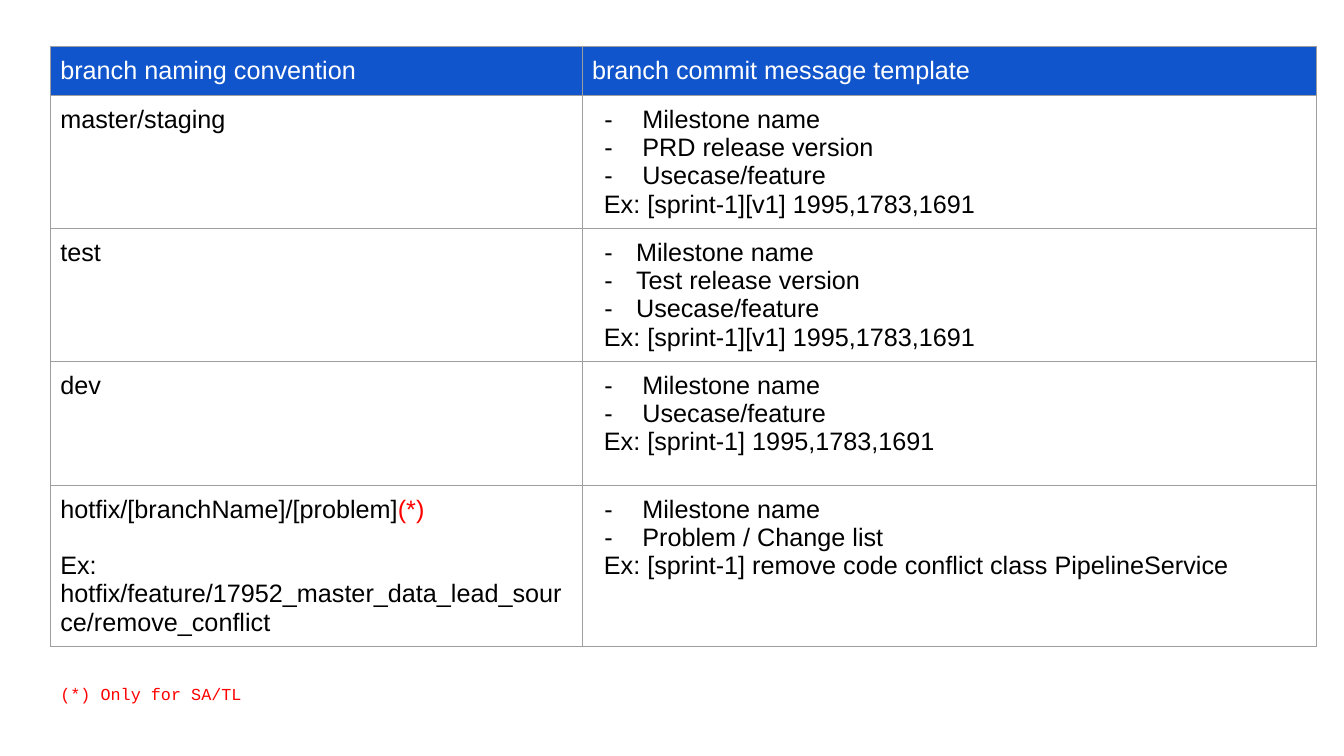
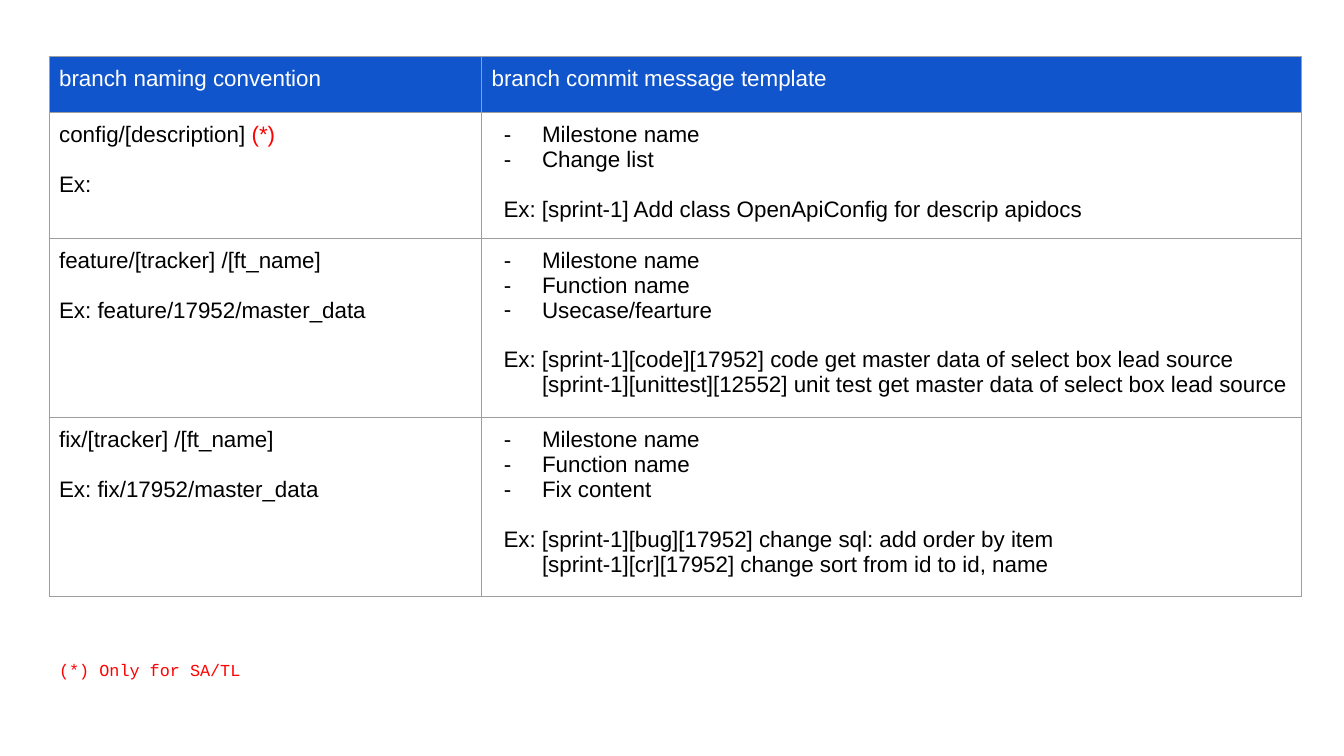
from dataclasses import dataclass

from pptx import Presentation
from pptx.dml.color import RGBColor as RGB
from pptx.enum.text import MSO_AUTO_SIZE as AutoSize
from pptx.oxml import parse_xml
from pptx.oxml.ns import nsdecls
from pptx.util import Cm, Pt


@dataclass(frozen=True)
class Theme:
    header: RGB = RGB(0x11, 0x55, 0xCC)
    header_text: RGB = RGB(0xFF, 0xFF, 0xFF)
    text: RGB = RGB(0, 0, 0)
    accent: RGB = RGB(0xFF, 0, 0)
    border: RGB = RGB(0x9E, 0x9E, 0x9E)
    border_width: float = 0.75
    body_font: str = "Arial"
    note_font: str = "Courier New"
    note_size: int = 12
    line_height: float = 1.12
    inset: float = 0.25


@dataclass(frozen=True)
class Line:
    text: str
    left: float = 0
    hang: float = 0
    gap: bool = False


THEME = Theme()
MARK = "(*)"
HEADERS = ("branch naming convention", "branch commit message template")
NOTE = "(*) Only for SA/TL"


def bullets(*texts, left=1.27, hang=0.96):
    return [Line(text, left, hang) for text in texts]


def example(text, gap=False):
    return Line(text, 0.3, gap=gap)


def continued(text):
    return Line(text, 1.27)


def named(name, sample=None):
    return [Line(name)] + ([Line(sample, gap=True)] if sample else [])


MAIN_ROWS = [
    (named("master/staging"),
     bullets("Milestone name", "PRD release version", "Usecase/feature")
     + [example("Ex: [sprint-1][v1] 1995,1783,1691")]),
    (named("test"),
     bullets("Milestone name", "Test release version", "Usecase/feature",
             left=1.11, hang=0.8)
     + [example("Ex: [sprint-1][v1] 1995,1783,1691")]),
    (named("dev"),
     bullets("Milestone name", "Usecase/feature")
     + [example("Ex: [sprint-1] 1995,1783,1691")]),
    (named("hotfix/[branchName]/[problem](*)",
           "Ex: hotfix/feature/17952_master_data_lead_source/remove_conflict"),
     bullets("Milestone name", "Problem / Change list")
     + [example("Ex: [sprint-1] remove code conflict class PipelineService")]),
]

WORK_ROWS = [
    (named("config/[description] (*)", "Ex:"),
     bullets("Milestone name", "Change list")
     + [example("Ex: [sprint-1] Add class OpenApiConfig for descrip apidocs", True)]),
    (named("feature/[tracker] /[ft_name]", "Ex: feature/17952/master_data"),
     bullets("Milestone name", "Function name", "Usecase/fearture")
     + [example("Ex: [sprint-1][code][17952] code get master data of select box lead source", True),
        continued("[sprint-1][unittest][12552] unit test get master data of select box lead source")]),
    (named("fix/[tracker] /[ft_name]", "Ex: fix/17952/master_data"),
     bullets("Milestone name", "Function name", "Fix content")
     + [example("Ex: [sprint-1][bug][17952] change sql: add order by item", True),
        continued("[sprint-1][cr][17952] change sort from id to id, name")]),
]


def set_all(obj, values):
    for name, value in values.items():
        setattr(obj, name, value)


def add_run(p, text, font, size, color):
    r = p.add_run()
    r.text = text
    set_all(r.font, {"name": font, "size": Pt(size), "bold": False})
    r.font.color.rgb = color


def write_line(p, line, size, color):
    if line.gap:
        p.space_before = Pt(round(size * THEME.line_height, 1))
    pPr = p._p.get_or_add_pPr()
    pPr.set("marL", str(Cm(line.left)))
    pPr.set("indent", str(Cm(-line.hang)))
    if line.hang:
        pPr.append(parse_xml(f'<a:buFont {nsdecls("a")} typeface="{THEME.body_font}"/>'))
        pPr.append(parse_xml(f'<a:buChar {nsdecls("a")} char="-"/>'))
    plain, mark, _ = line.text.partition(MARK)
    add_run(p, plain, THEME.body_font, size, color)
    if mark:
        add_run(p, mark, THEME.body_font, size, THEME.accent)


def add_borders(cell):
    tcPr = cell._tc.get_or_add_tcPr()
    for side in "LRTB":
        tcPr.append(parse_xml(
            f'<a:ln{side} {nsdecls("a")} w="{Pt(THEME.border_width)}">'
            f'<a:solidFill><a:srgbClr val="{THEME.border}"/></a:solidFill>'
            f'</a:ln{side}>'))


def write_cell(cell, lines, size, is_header):
    inset = Cm(THEME.inset)
    set_all(cell, {f"margin_{side}": inset for side in ("left", "right", "top", "bottom")})
    add_borders(cell)
    if is_header:
        cell.fill.solid()
        cell.fill.fore_color.rgb = THEME.header
    else:
        cell.fill.background()
    tf = cell.text_frame
    for i, line in enumerate(lines):
        p = tf.add_paragraph() if i else tf.paragraphs[0]
        write_line(p, line, size, THEME.header_text if is_header else THEME.text)


def add_branch_table(s, left, top, widths, heights, rows, size):
    all_rows = [[[Line(text)] for text in HEADERS], *rows]
    table = s.shapes.add_table(len(all_rows), len(widths), Cm(left), Cm(top),
                               Cm(sum(widths)), Cm(sum(heights))).table
    table.horz_banding = False
    for col, width in zip(table.columns, widths):
        col.width = Cm(width)
    for i, (row, height, contents) in enumerate(zip(table.rows, heights, all_rows)):
        row.height = Cm(height)
        for cell, lines in zip(row.cells, contents):
            write_cell(cell, lines, size, i == 0)


def add_note(s, left, top):
    sp = s.shapes.add_textbox(Cm(left), Cm(top), Cm(7.44), Cm(0.76))
    tf = sp.text_frame
    set_all(tf, {"word_wrap": True, "auto_size": AutoSize.SHAPE_TO_FIT_TEXT,
                 "margin_left": Cm(THEME.inset), "margin_right": Cm(THEME.inset)})
    add_run(tf.paragraphs[0], NOTE, THEME.note_font, THEME.note_size, THEME.accent)


def add_branch_slide(prs, left, top, widths, heights, rows, size, note_top):
    s = prs.slides.add_slide(prs.slide_layouts[6])
    add_branch_table(s, left, top, widths, heights, rows, size)
    add_note(s, left, note_top)


def main():
    prs = Presentation()
    set_all(prs, {"slide_width": Cm(33.87), "slide_height": Cm(19.05)})
    add_branch_slide(prs, 1.27, 1.17, (13.4, 18.5), (1.24, 3.35, 3.35, 3.12, 4.06),
                     MAIN_ROWS, 18, 17.1)
    add_branch_slide(prs, 1.24, 1.42, (10.9, 20.65), (1.42, 3, 4.28, 4.28),
                     WORK_ROWS, 16, 16.5)
    prs.save("out.pptx")


if __name__ == "__main__":
    main()
